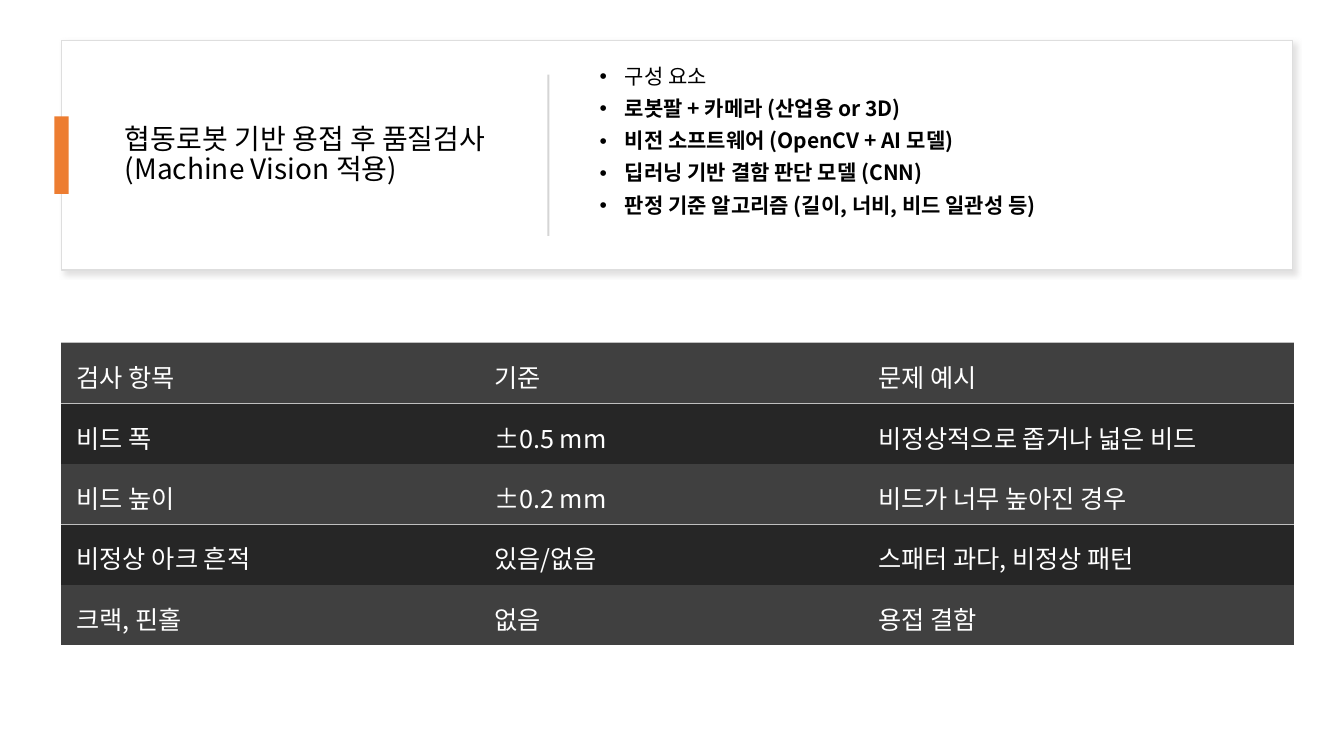
from lxml import etree
from pptx import Presentation
from pptx.dml.color import RGBColor
from pptx.enum.shapes import MSO_SHAPE
from pptx.enum.text import MSO_ANCHOR
from pptx.oxml.ns import qn
from pptx.util import Inches, Pt

RECTANGLE = MSO_SHAPE.RECTANGLE
MIDDLE = MSO_ANCHOR.MIDDLE
FONT = "Noto Sans CJK KR"

# Content
TITLE = "협동로봇 기반 용접 후 품질검사 (Machine Vision 적용)"
COMPONENTS_HEADING = "구성 요소"
COMPONENTS = [
    "로봇팔 + 카메라 (산업용 or 3D)",
    "비전 소프트웨어 (OpenCV + AI 모델)",
    "딥러닝 기반 결함 판단 모델 (CNN)",
    "판정 기준 알고리즘 (길이, 너비, 비드 일관성 등)",
]
INSPECTION_ROWS = [
    ("검사 항목", "기준", "문제 예시"),
    ("비드 폭", "±0.5 mm", "비정상적으로 좁거나 넓은 비드"),
    ("비드 높이", "±0.2 mm", "비드가 너무 높아진 경우"),
    ("비정상 아크 흔적", "있음/없음", "스패터 과다, 비정상 패턴"),
    ("크랙, 핀홀", "없음", "용접 결함"),
]

# Colours
BLACK = RGBColor(0x00, 0x00, 0x00)
WHITE = RGBColor(0xFF, 0xFF, 0xFF)
CARD_LINE = RGBColor(0xDE, 0xDE, 0xDE)
CARD_SHADOW = RGBColor(0xC5, 0xC3, 0xC3)
ORANGE = RGBColor(0xED, 0x7D, 0x31)
DIVIDER = RGBColor(0xD5, 0xD5, 0xD5)
ROW_FILLS = [RGBColor(0x40, 0x40, 0x40), RGBColor(0x26, 0x26, 0x26)]
RULE = RGBColor(0xBF, 0xBF, 0xBF)

# Layout, in inches
SLIDE_WIDTH, SLIDE_HEIGHT = 13.33, 7.5
LEFT, WIDTH = 0.61, 12.21
CARD_TOP, CARD_HEIGHT = 0.4, 2.28
CARD_MIDDLE = CARD_TOP + CARD_HEIGHT / 2
TABLE_TOP, ROW_HEIGHT = 3.4, 0.6
COLUMN_WIDTHS = [4.14, 3.81, 4.27]
RULES_ABOVE_ROWS = {0, 1, 3}


def add_box(slide, left, middle, width, height, fill):
    shape = slide.shapes.add_shape(
        RECTANGLE, Inches(left), Inches(middle - height / 2), Inches(width), Inches(height))
    shape.shadow.inherit = False
    shape.fill.solid()
    shape.fill.fore_color.rgb = fill
    shape.line.fill.background()
    return shape


def add_shadow(shape, color, alpha, blur, distance, angle):
    effects = shape._element.spPr.find(qn("a:effectLst"))
    shadow = etree.SubElement(
        effects, qn("a:outerShdw"), blurRad=str(Pt(blur)), dist=str(Pt(distance)),
        dir=str(angle * 60000), algn="tl", rotWithShape="0")
    tint = etree.SubElement(shadow, qn("a:srgbClr"), val=str(color))
    etree.SubElement(tint, qn("a:alpha"), val=str(alpha * 1000))


def add_frame(slide, left, middle, width, height):
    box = slide.shapes.add_textbox(
        Inches(left), Inches(middle - height / 2), Inches(width), Inches(height))
    box.text_frame.word_wrap = True
    box.text_frame.vertical_anchor = MIDDLE
    return box.text_frame


def write(paragraph, text, size, color=BLACK, bold=False, line_spacing=None,
          space_before=None, bullet=None):
    if bullet:
        properties = paragraph._p.get_or_add_pPr()
        properties.set("marL", str(Inches(0.25)))
        properties.set("indent", str(-Inches(0.25)))
        etree.SubElement(properties, qn("a:buFont"), typeface="Arial")
        etree.SubElement(properties, qn("a:buChar"), char=bullet)
    if line_spacing:
        paragraph.line_spacing = line_spacing
    if space_before is not None:
        paragraph.space_before = Pt(space_before)
    run = paragraph.add_run()
    run.text = text
    run.font.size = Pt(size)
    run.font.bold = bold
    run.font.color.rgb = color
    run.font.name = FONT
    etree.SubElement(run._r.get_or_add_rPr(), qn("a:ea"), typeface=FONT)


def set_borders(cell, ruled_sides):
    properties = cell._tc.get_or_add_tcPr()
    for position, side in enumerate("LRTB"):
        line = etree.Element(qn(f"a:ln{side}"), w=str(Pt(1)))
        if side in ruled_sides:
            fill = etree.SubElement(line, qn("a:solidFill"))
            etree.SubElement(fill, qn("a:srgbClr"), val=str(RULE))
        else:
            etree.SubElement(line, qn("a:noFill"))
        properties.insert(position, line)


def add_header_card(slide):
    card = add_box(slide, LEFT, CARD_MIDDLE, WIDTH, CARD_HEIGHT, WHITE)
    card.line.color.rgb = CARD_LINE
    card.line.width = Pt(1)
    add_shadow(card, CARD_SHADOW, alpha=50, blur=4, distance=3, angle=45)

    title = add_frame(slide, 1.14, CARD_MIDDLE, 3.89, 1.8)
    write(title.paragraphs[0], TITLE, 20, line_spacing=0.9)

    add_box(slide, LEFT - 0.07, CARD_MIDDLE, 0.14, 0.77, ORANGE)
    add_box(slide, 5.43, CARD_MIDDLE, 0.02, 1.6, DIVIDER)

    # Component list
    components = add_frame(slide, 5.85, 1.41, 6.56, 1.84)
    for index, text in enumerate([COMPONENTS_HEADING] + COMPONENTS):
        paragraph = components.add_paragraph() if index else components.paragraphs[0]
        write(paragraph, text, 15, bold=index > 0, line_spacing=0.9,
              space_before=6.7 if index else 0, bullet="•")


def add_inspection_table(slide):
    row_count = len(INSPECTION_ROWS)
    table = slide.shapes.add_table(
        row_count, len(COLUMN_WIDTHS), Inches(LEFT), Inches(TABLE_TOP),
        Inches(WIDTH), Inches(ROW_HEIGHT * row_count)).table
    table.horz_banding = False
    table.first_row = False
    for column, width in zip(table.columns, COLUMN_WIDTHS):
        column.width = Inches(width)
    for row, texts in enumerate(INSPECTION_ROWS):
        table.rows[row].height = Inches(ROW_HEIGHT)
        sides = {side for side, edge in (("T", row), ("B", row + 1))
                 if edge in RULES_ABOVE_ROWS}
        for column, text in enumerate(texts):
            cell = table.cell(row, column)
            cell.margin_left = cell.margin_right = cell.margin_top = Inches(0.15)
            cell.margin_bottom = Inches(0.08)
            cell.vertical_anchor = MIDDLE
            cell.fill.solid()
            cell.fill.fore_color.rgb = ROW_FILLS[row % 2]
            set_borders(cell, sides)
            write(cell.text_frame.paragraphs[0], text, 18, color=WHITE)


def main():
    presentation = Presentation()
    presentation.slide_width = Inches(SLIDE_WIDTH)
    presentation.slide_height = Inches(SLIDE_HEIGHT)
    slide = presentation.slides.add_slide(presentation.slide_layouts[6])
    add_header_card(slide)
    add_inspection_table(slide)
    presentation.save("out.pptx")


if __name__ == "__main__":
    main()
